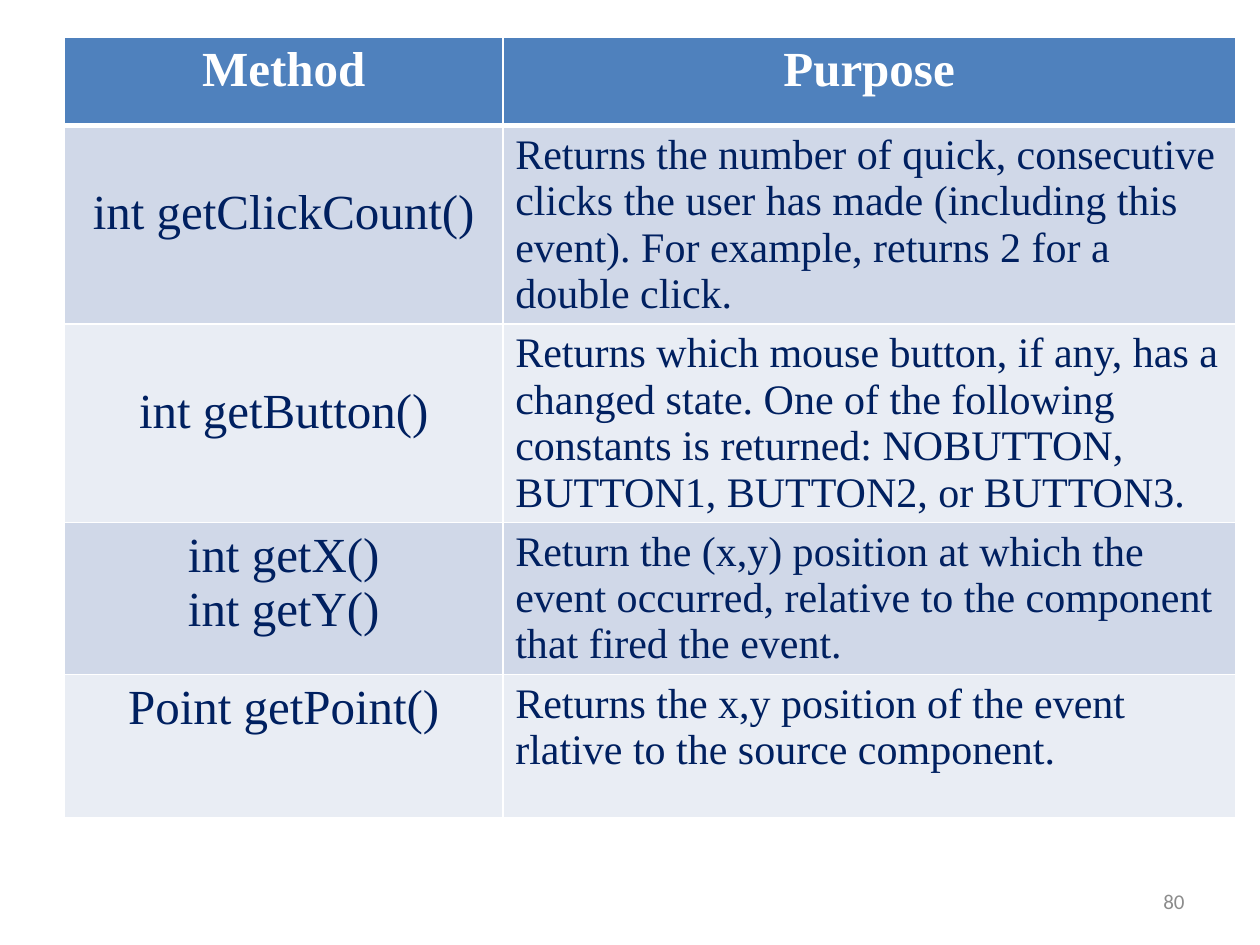
import pptx
import pptx.util
import pptx.dml.color
import pptx.enum.text
import pptx.oxml
import pptx.oxml.ns
from lxml import etree

Pt = pptx.util.Pt
ALIGN = pptx.enum.text.PP_ALIGN
ANCHOR = pptx.enum.text.MSO_ANCHOR


def colour(value):
    return pptx.dml.color.RGBColor.from_string(value)


class SlideBuilder:
    serif, sans = "Times New Roman", "Calibri"
    white, navy, grey = "FFFFFF", "002060", "8C8C8C"
    header, bands = "4F81BD", ("D0D8E8", "E9EDF4")

    def __init__(self, page):
        self.page = page

    def paragraph(self, para, text, size, ink, font, align, bold=False):
        para.text = text
        para.alignment = align
        para.font.size = Pt(size)
        para.font.name = font
        para.font.bold = bold
        para.font.color.rgb = colour(ink)

    def borders(self, cell, bottom):
        props = cell._tc.get_or_add_tcPr()
        widths = {"lnL": 1, "lnR": 1, "lnT": 1, "lnB": bottom}
        for index, (tag, width) in enumerate(widths.items()):
            line = etree.Element(pptx.oxml.ns.qn("a:" + tag), w=str(Pt(width)))
            fill = etree.SubElement(line, pptx.oxml.ns.qn("a:solidFill"))
            etree.SubElement(fill, pptx.oxml.ns.qn("a:srgbClr"), val=self.white)
            props.insert(index, line)

    def cell(self, cell, text, fill, size, ink, align, bold=False, top=3.6, bottom=1):
        cell.fill.solid()
        cell.fill.fore_color.rgb = colour(fill)
        cell.margin_top = Pt(top)
        self.paragraph(cell.text_frame.paragraphs[0], text, size, ink,
                       self.serif, align, bold)
        self.borders(cell, bottom)

    def table(self, left, top, widths, heights, headings, rows):
        frame = self.page.shapes.add_table(
            len(heights), len(widths), Pt(left), Pt(top),
            Pt(sum(widths)), Pt(sum(heights)))
        table = frame.table
        table.first_row = table.horz_banding = False
        for column, width in zip(table.columns, widths):
            column.width = Pt(width)
        for row, height in zip(table.rows, heights):
            row.height = Pt(height)
        for index, heading in enumerate(headings):
            self.cell(table.cell(0, index), heading, self.header, 28,
                      self.white, ALIGN.CENTER, bold=True, bottom=3)
        for index, (method, purpose, top_margin) in enumerate(rows):
            fill = self.bands[index % 2]
            self.cell(table.cell(index + 1, 0), method, fill, 28, self.navy,
                      ALIGN.CENTER, top=top_margin)
            self.cell(table.cell(index + 1, 1), purpose, fill, 24, self.navy,
                      ALIGN.LEFT)

    def page_number(self, text, left, top, width, height):
        box = self.page.shapes.add_textbox(Pt(left), Pt(top), Pt(width), Pt(height))
        box.text_frame.word_wrap = True
        box.text_frame.vertical_anchor = ANCHOR.MIDDLE
        self.paragraph(box.text_frame.paragraphs[0], text, 12, self.grey,
                       self.sans, ALIGN.RIGHT)


def main():
    deck = pptx.Presentation()
    deck.slide_width, deck.slide_height = Pt(720), Pt(540)
    builder = SlideBuilder(deck.slides.add_slide(deck.slide_layouts[6]))

    # Mouse event methods: name, purpose, top margin of the name
    normal, lowered = 3.6, 34.6
    rows = [
        ("int getClickCount()",
         "Returns the number of quick, consecutive clicks the user has made "
         "(including this event). For example, returns 2 for a double click.",
         lowered),
        ("int getButton()",
         "Returns which mouse button, if any, has a changed state. One of the "
         "following constants is returned: NOBUTTON, BUTTON1, BUTTON2, or BUTTON3.",
         lowered),
        ("int getX()\vint getY()",
         "Return the (x,y) position at which the event occurred, relative to the "
         "component that fired the event.",
         normal),
        ("Point getPoint()",
         "Returns the x,y position of the event rlative to the source component.",
         normal),
    ]
    builder.table(37, 21, [250.3, 418.7], [50.8, 86.4, 86.4, 82, 82],
                  ["Method", "Purpose"], rows)

    # Footer
    builder.page_number("80", 516, 500.5, 168, 28.8)

    deck.save("out.pptx")


if __name__ == "__main__":
    main()
